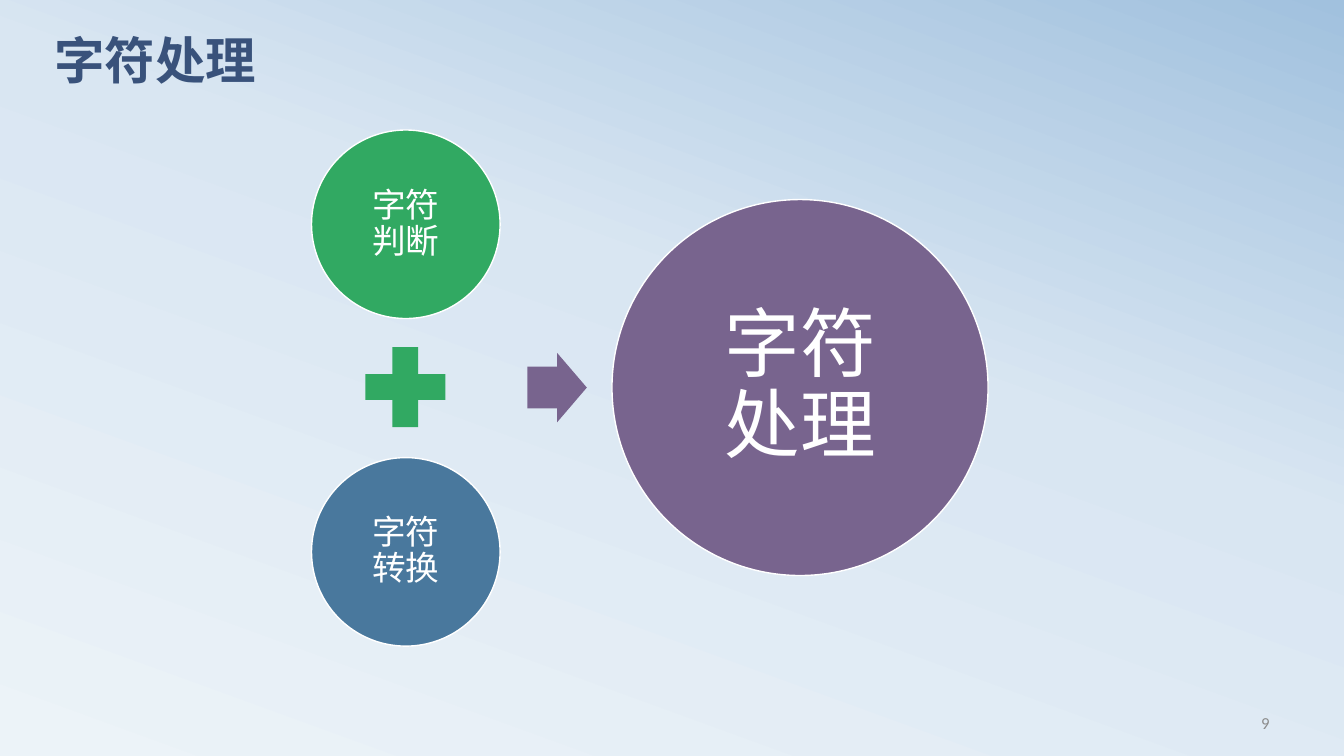
from copy import deepcopy

from pptx import Presentation, util as u
from pptx.dml.color import RGBColor
from pptx.enum import shapes, text
from pptx.oxml.ns import qn

PX = 9144  # EMU per px, 100 px to the inch
GREEN, BLUE, PURPLE, WHITE = "31A962", "49789D", "78648E", "FFFFFF"
KINDS = shapes.MSO_SHAPE
ALIGN, ANCHOR = text.PP_ALIGN, text.MSO_ANCHOR


def rgb(code):
    return RGBColor.from_string(code)


def write(frame, words, size, font, color, align, anchor, spacing=1.0, bold=False):
    """Fill a text frame; "\\n" starts a paragraph, "\\v" breaks a line."""
    frame.word_wrap = True
    frame.vertical_anchor = anchor
    frame.text = words
    for paragraph in frame.paragraphs:
        paragraph.alignment = align
        paragraph.line_spacing = spacing
        paragraph.font.size = u.Pt(size)
        paragraph.font.name = font
        paragraph.font.bold = bold
        paragraph.font.color.rgb = rgb(color)


prs = Presentation()
prs.slide_width, prs.slide_height = 1333 * PX, 750 * PX
slide = prs.slides.add_slide(prs.slide_layouts[6])

# Background: pale at the lower left, blue at the upper right
backdrop = slide.background.fill
backdrop.gradient()
backdrop.gradient_angle = 70
stop_list = slide.background._cSld.find(".//" + qn("a:gsLst"))
stop_list.insert(1, deepcopy(stop_list[0]))
stops = [(0, "ECF3F8"), (0.58, "D9E6F2"), (1, "A1C1DE")]
for stop, (position, color) in zip(backdrop.gradient_stops, stops):
    stop.position = position
    stop.color.rgb = rgb(color)

# Title and page number
title = slide.shapes.add_textbox(44 * PX, 36 * PX, 1200 * PX, 94 * PX)
write(title.text_frame, "字符处理", 36, "Calibri", "39527B",
      ALIGN.LEFT, ANCHOR.TOP, spacing=0.8, bold=True)
page_number = slide.shapes.add_textbox(958 * PX, 697 * PX, 311 * PX, 40 * PX)
write(page_number.text_frame, "9", 12, "Calibri", "8C8C8C", ALIGN.RIGHT, ANCHOR.MIDDLE)

# Signs: left, top, width, height
signs = [
    (KINDS.MATH_PLUS, (348, 330, 108, 108), GREEN),
    (KINDS.RIGHT_ARROW, (523, 350, 59, 69), PURPLE),
]
for kind, box, color in signs:
    sign = slide.shapes.add_shape(kind, *(side * PX for side in box))
    sign.shadow.inherit = False
    sign.fill.solid()
    sign.fill.fore_color.rgb = rgb(color)
    sign.line.fill.background()
    if kind == KINDS.RIGHT_ARROW:
        sign.adjustments[0] = 0.6

# Circles: left, top, diameter, colour, words, text size, inset
circles = [
    (309, 129, 187, GREEN, "字符\v判断", 24, 3),
    (309, 454, 187, BLUE, "字符\v转换", 24, 3),
    (607, 198, 373, PURPLE, "字符\n处理", 54, 7),
]
for left, top, diameter, color, words, size, inset in circles:
    circle = slide.shapes.add_shape(
        KINDS.OVAL, left * PX, top * PX, diameter * PX, diameter * PX)
    circle.shadow.inherit = False
    circle.fill.solid()
    circle.fill.fore_color.rgb = rgb(color)
    circle.line.color.rgb = rgb(WHITE)
    circle.line.width = u.Pt(1)
    frame = circle.text_frame
    frame.margin_left = frame.margin_right = inset * PX
    frame.margin_top = frame.margin_bottom = inset * PX
    write(frame, words, size, "Noto Sans CJK SC", WHITE,
          ALIGN.CENTER, ANCHOR.MIDDLE, spacing=0.9)

prs.save("out.pptx")
